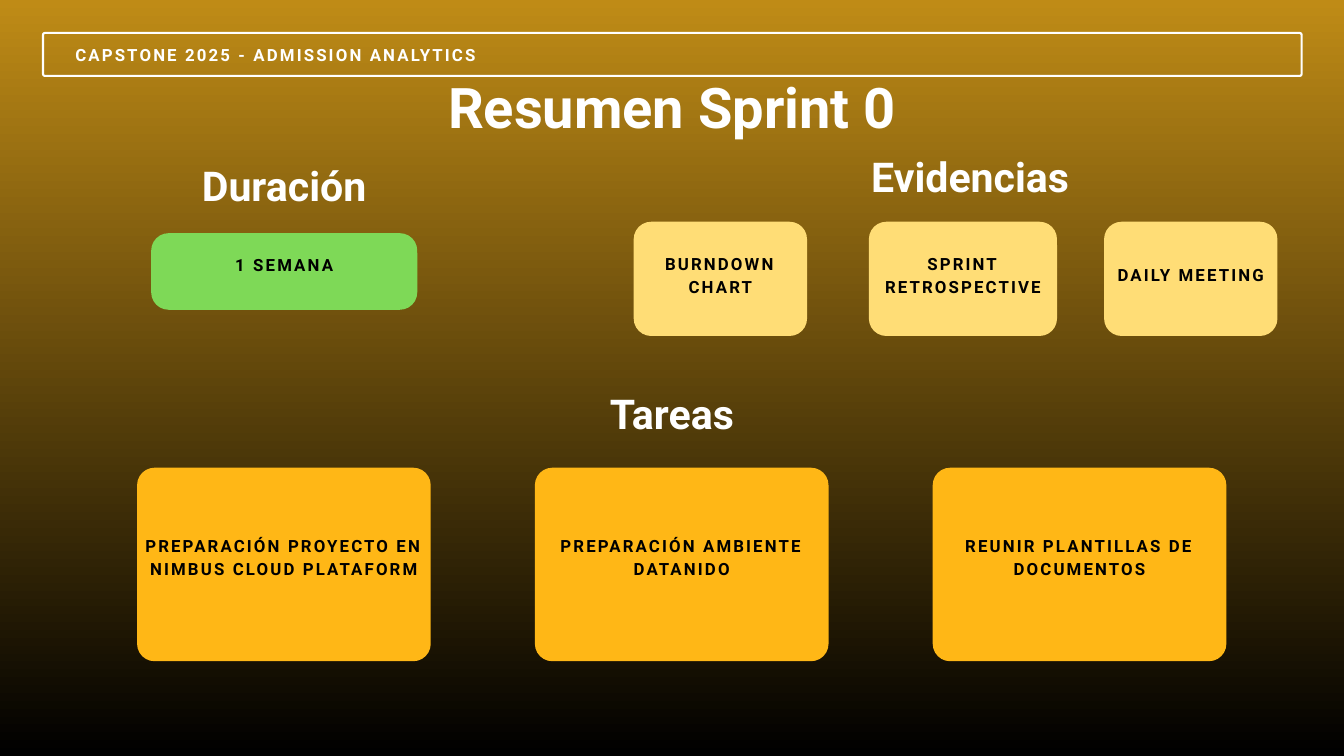
from pptx import Presentation
from pptx.dml.color import RGBColor
from pptx.enum.shapes import MSO_SHAPE
from pptx.enum.text import MSO_ANCHOR, MSO_AUTO_SIZE, PP_ALIGN
from pptx.util import Inches, Pt

COLORS = {
    "gold": "BF8B16",
    "black": "000000",
    "white": "FFFFFF",
    "green": "7ED957",
    "cream": "FFDD76",
    "amber": "FFB716",
}
LABEL = {"size": Pt(18), "bold": True, "name": "Roboto"}
HEADING = {"size": Pt(44), "bold": True, "name": "Roboto"}
TITLE = {"size": Pt(60), "bold": True, "name": "Roboto"}

deck = Presentation()
deck.slide_width, deck.slide_height = Inches(20), Inches(11.25)
column = deck.slide_width / 20
row = deck.slide_height / 11.25
page = deck.slides.add_slide(deck.slide_layouts[6])

backdrop = page.background.fill
backdrop.gradient()
backdrop.gradient_angle = 90
for stop, name in zip(backdrop.gradient_stops, ("black", "gold")):
    stop.color.rgb = RGBColor.from_string(COLORS[name])


def write(box, text, style, color, leading, align=PP_ALIGN.CENTER, tracking=0):
    frame = box.text_frame
    frame.word_wrap = True
    for side in ("left", "top", "right", "bottom"):
        setattr(frame, f"margin_{side}", 0)
    para = frame.paragraphs[0]
    para.alignment = align
    para.line_spacing = Pt(leading)
    span = para.add_run()
    span.text = text
    for attribute, value in style.items():
        setattr(span.font, attribute, value)
    span.font.color.rgb = RGBColor.from_string(COLORS[color])
    if tracking:
        span._r.get_or_add_rPr().set("spc", str(tracking))
    return frame


def add_rounded(left, top, width, height, radius):
    shape = page.shapes.add_shape(
        MSO_SHAPE.ROUNDED_RECTANGLE,
        round(left * column), round(top * row),
        round(width * column), round(height * row),
    )
    shape.adjustments[0] = radius / height
    shape.shadow.inherit = False
    return shape


banner = add_rounded(0.64, 0.49, 18.73, 0.64, 0.03)
banner.fill.background()
banner.line.color.rgb = RGBColor.from_string(COLORS["white"])
banner.line.width = Pt(2.25)

texts = [
    ("CAPSTONE 2025 - ADMISSION ANALYTICS", 1.12, 0.62, 7.85, 0.34, LABEL, 25.2, PP_ALIGN.LEFT, 230),
    ("Resumen Sprint 0", 5, 1.24, 10, 0.88, TITLE, 60.6, PP_ALIGN.CENTER, 0),
    ("Duración", 0.56, 2.51, 7.34, 0.64, HEADING, 44.4, PP_ALIGN.CENTER, 0),
    ("Evidencias", 10.77, 2.37, 7.34, 0.64, HEADING, 44.4, PP_ALIGN.CENTER, 0),
    ("Tareas", 6.33, 5.9, 7.34, 0.64, HEADING, 44.4, PP_ALIGN.CENTER, 0),
]
for text, left, top, width, height, style, leading, align, tracking in texts:
    box = page.shapes.add_textbox(
        round(left * column), round(top * row),
        round(width * column), round(height * row),
    )
    frame = write(box, text, style, "white", leading, align, tracking)
    frame.auto_size = MSO_AUTO_SIZE.SHAPE_TO_FIT_TEXT

tasks = [
    "PREPARACIÓN PROYECTO EN NIMBUS CLOUD PLATAFORM",
    "PREPARACIÓN AMBIENTE DATANIDO",
    "REUNIR PLANTILLAS DE DOCUMENTOS",
]
evidence = [("BURNDOWN CHART", 2.58), ("SPRINT RETROSPECTIVE", 2.8), ("DAILY MEETING", 2.58)]

cards = [("1 SEMANA", 2.25, 3.47, 3.96, 1.14, "green", 0.24)]
for index, (text, width) in enumerate(evidence):
    cards.append((text, 9.43 + 3.5 * index, 3.3, width, 1.7, "cream", 0.16))
for index, text in enumerate(tasks):
    cards.append((text, 2.04 + 5.92 * index, 6.96, 4.37, 2.88, "amber", 0.26))

for text, left, top, width, height, color, lift in cards:
    card = add_rounded(left, top, width, height, 0.26)
    card.fill.solid()
    card.fill.fore_color.rgb = RGBColor.from_string(COLORS[color])
    card.line.fill.background()
    frame = write(card, text, LABEL, "black", 25.2, tracking=230)
    frame.vertical_anchor = MSO_ANCHOR.MIDDLE
    frame.margin_bottom = round(lift * row)

deck.save("out.pptx")
